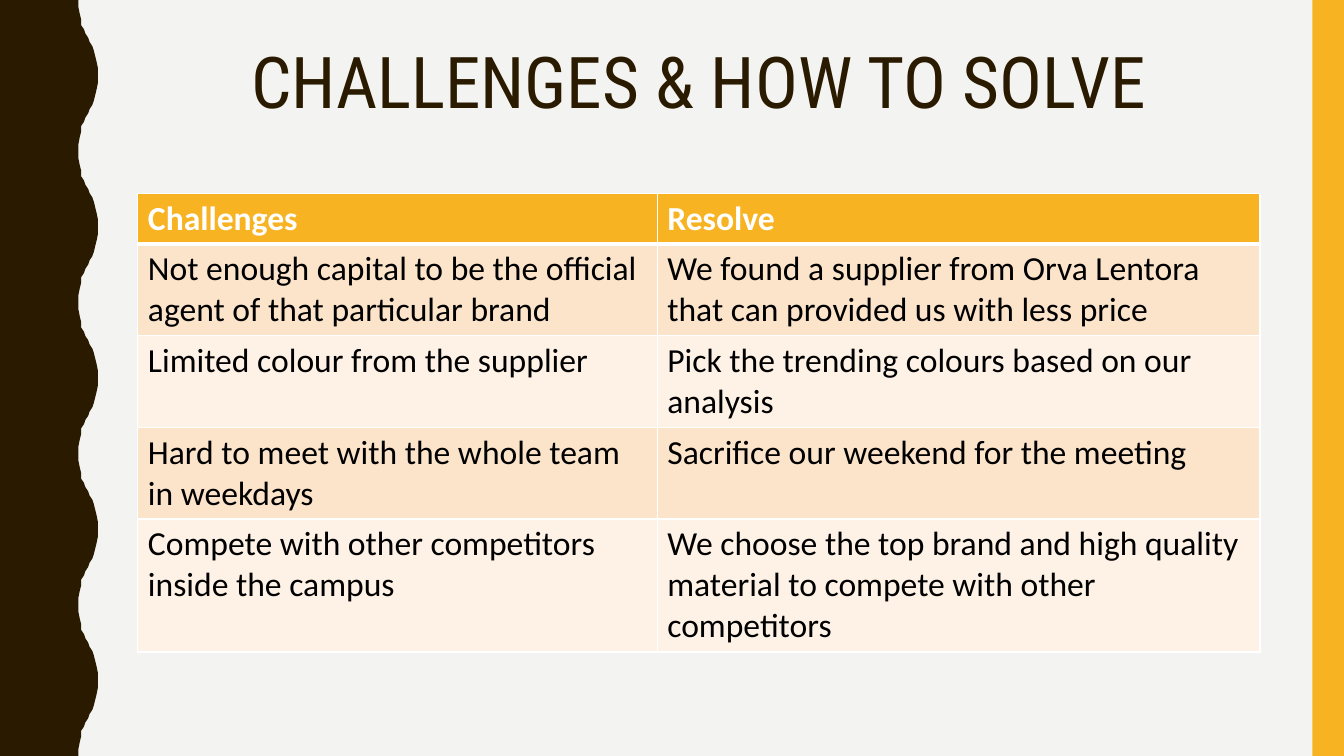
from dataclasses import dataclass

from lxml import etree
from pptx import Presentation
from pptx import util as u
from pptx.dml.color import RGBColor
from pptx.enum import shapes, text
from pptx.oxml.ns import qn


@dataclass(frozen=True)
class Theme:
    background: str = "F3F3F2"
    dark: str = "2A1A00"
    accent: str = "F8B323"
    odd_row: str = "FCE4CB"
    even_row: str = "FEF2E7"
    white: str = "FFFFFF"
    black: str = "000000"
    title_font: str = "Roboto Condensed"
    body_font: str = "Calibri"
    title_size: int = 51
    body_size: int = 24


theme = Theme()


def paint(shape, color):
    shape.shadow.inherit = False
    shape.fill.solid()
    shape.fill.fore_color.rgb = RGBColor.from_string(color)
    shape.line.fill.background()


def add_border(cell, side, width):
    line = etree.SubElement(cell._tc.get_or_add_tcPr(), qn(f"a:ln{side}"), w=str(u.Pt(width)))
    fill = etree.SubElement(line, qn("a:solidFill"))
    etree.SubElement(fill, qn("a:srgbClr"), val=theme.white)


deck = Presentation()
deck.slide_width, deck.slide_height = u.Pt(960), u.Pt(540)
page = deck.slides.add_slide(deck.slide_layouts[6])
page.background.fill.solid()
page.background.fill.fore_color.rgb = RGBColor.from_string(theme.background)

# Wavy left edge: one half wave, mirrored and repeated down the page
half_wave = [(56.2, 0), (56.2, 5), (56.9, 10), (57.6, 14.4), (58.3, 18),
             (59.8, 21), (61.2, 24), (62.6, 27), (64.1, 30), (65.5, 33),
             (67, 36), (68.4, 39.6), (69.1, 44), (69.8, 49), (69.8, 54)]
period = 108
wave = half_wave + [(x, period - y) for x, y in reversed(half_wave[:-1])]
edge = [(x, y + period * turn) for turn in range(5) for x, y in wave]
outline = page.shapes.build_freeform(0, 0, scale=u.Pt(1))
outline.add_line_segments(edge + [(0, 540)], close=True)
paint(outline.convert_to_shape(), theme.dark)

# Right bar
bar = page.shapes.add_shape(shapes.MSO_SHAPE.RECTANGLE, u.Pt(937.5), 0, u.Pt(22.5), u.Pt(540))
paint(bar, theme.accent)

# Title
box = page.shapes.add_textbox(u.Pt(98.5), u.Pt(30), u.Pt(801.5), u.Pt(117))
box.text_frame.word_wrap = True
para = box.text_frame.paragraphs[0]
para.text = "CHALLENGES & HOW TO SOLVE"
para.alignment = text.PP_ALIGN.CENTER
para.line_spacing = 0.9
para.font.name = theme.title_font
para.font.size = u.Pt(theme.title_size)
para.font.color.rgb = RGBColor.from_string(theme.dark)

# Table
rows = [
    ("Challenges", "Resolve"),
    ("Not enough capital to be the official agent of that particular brand",
     "We found a supplier from Orva Lentora that can provided us with less price"),
    ("Limited colour from the supplier",
     "Pick the trending colours based on our analysis"),
    ("Hard to meet with the whole team in weekdays",
     "Sacrifice our weekend for the meeting"),
    ("Compete with other competitors inside the campus",
     "We choose the top brand and high quality material to compete with other competitors"),
]
widths = [371, 430.5]
heights = [35.5, 65.5, 65.5, 65.5, 95]
table = page.shapes.add_table(len(rows), len(widths), u.Pt(98.5), u.Pt(138.2),
                              u.Pt(sum(widths)), u.Pt(sum(heights))).table
for column, width in zip(table.columns, widths):
    column.width = u.Pt(width)

for r, (row, height) in enumerate(zip(rows, heights)):
    table.rows[r].height = u.Pt(height)
    header = r == 0
    row_fill = theme.accent if header else theme.odd_row if r % 2 else theme.even_row
    for c, wording in enumerate(row):
        cell = table.cell(r, c)
        borders = {"L": 1, "R": 1, "T": 3 if r == 1 else 1, "B": 3 if header else 1}
        for side, width in borders.items():
            add_border(cell, side, width)
        cell.fill.solid()
        cell.fill.fore_color.rgb = RGBColor.from_string(row_fill)
        para = cell.text_frame.paragraphs[0]
        para.text = wording
        para.font.name = theme.body_font
        para.font.size = u.Pt(theme.body_size)
        para.font.bold = header
        para.font.color.rgb = RGBColor.from_string(theme.white if header else theme.black)

deck.save("out.pptx")
